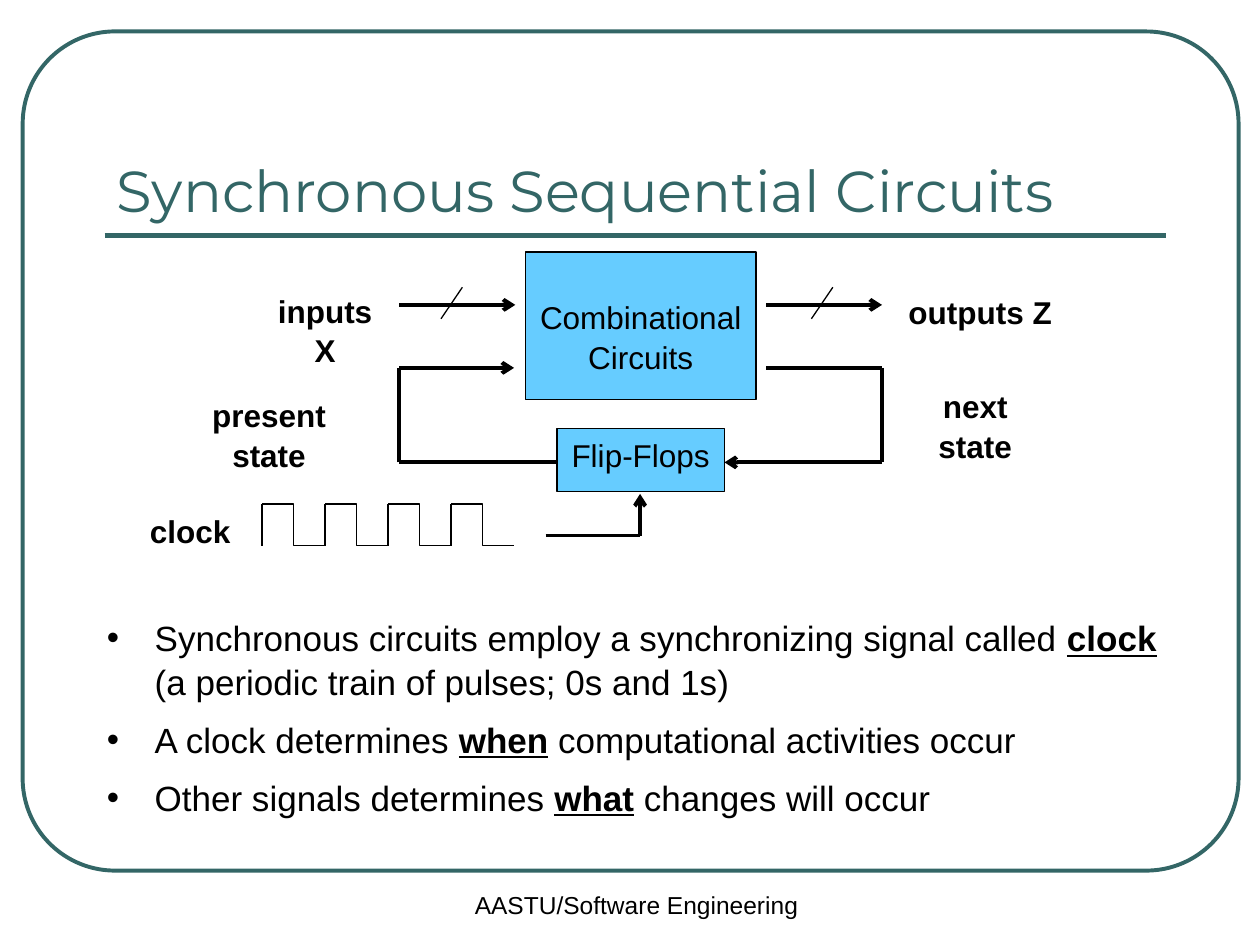
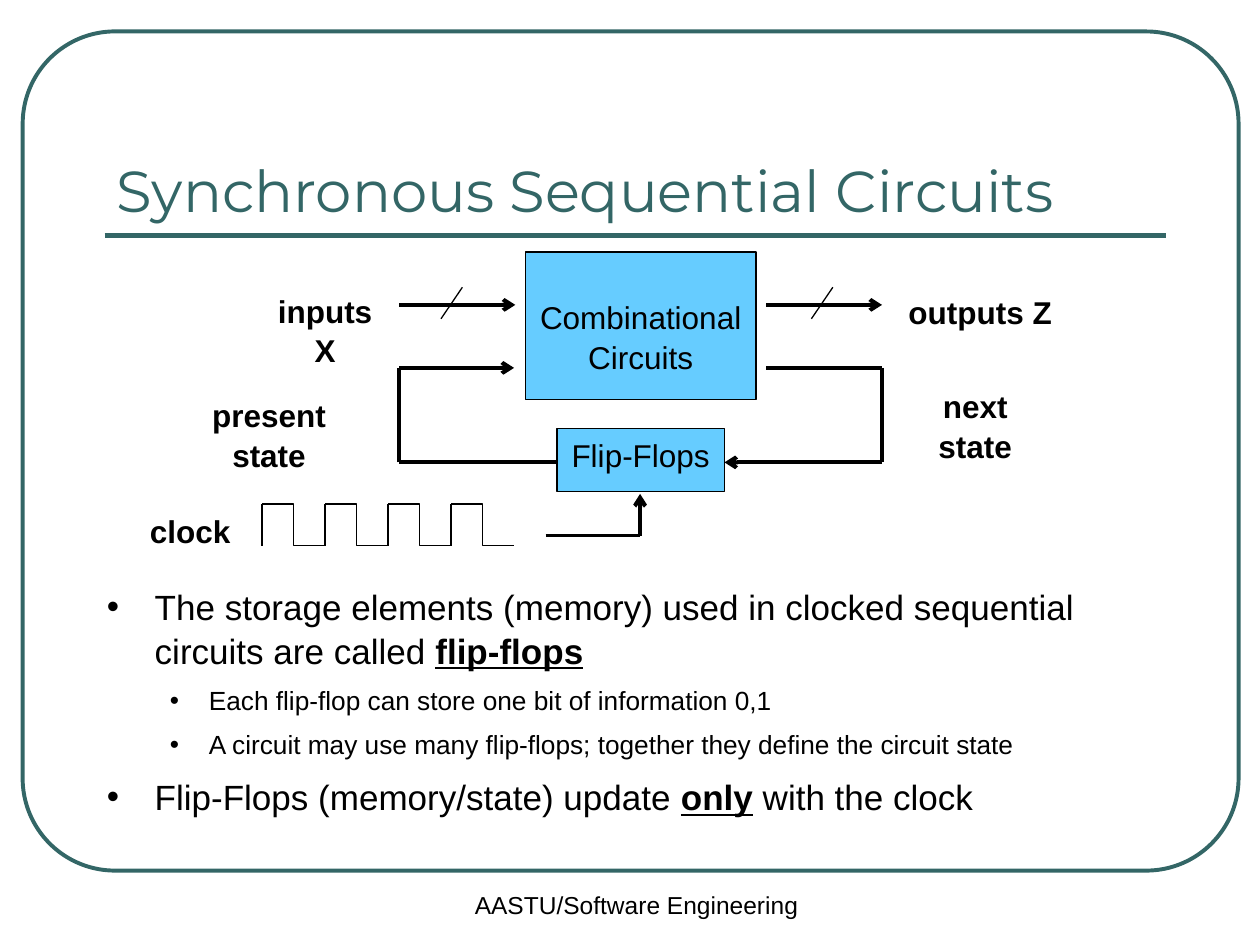
from lxml import etree
from pptx import Presentation
from pptx.dml.color import RGBColor
from pptx.enum.shapes import MSO_CONNECTOR, MSO_SHAPE
from pptx.enum.text import MSO_ANCHOR, PP_ALIGN
from pptx.oxml.ns import qn
from pptx.util import Inches, Pt

STRAIGHT, ELBOW = MSO_CONNECTOR.STRAIGHT, MSO_CONNECTOR.ELBOW
RECT, ROUNDED = MSO_SHAPE.RECTANGLE, MSO_SHAPE.ROUNDED_RECTANGLE
TOP, BOTTOM = MSO_ANCHOR.TOP, MSO_ANCHOR.BOTTOM
LEFT, CENTER = PP_ALIGN.LEFT, PP_ALIGN.CENTER

COLORS = {"accent": "336666", "block": "66CCFF", "ink": "000000"}
BODY_FONT, TITLE_FONT = "Arial", "Montserrat"
LINE_SPACING = 1.05
THIN, THICK = 0.75, 2.25
# Outline levels: size, left margin, hanging indent, space before
LEVELS = [(20, 0.38, 0.38, 7.7), (15, 0.81, 0.31, 6.5)]


def color(name):
    return RGBColor.from_string(COLORS[name])


class Deck:
    """Holds the shared style and the slide being built."""

    def __init__(self):
        self.prs = Presentation()
        self.prs.slide_width, self.prs.slide_height = Inches(10), Inches(7.5)
        self.slide = None

    def new_slide(self, title):
        self.slide = self.prs.slides.add_slide(self.prs.slide_layouts[6])
        frame = self.box(0.18, 0.25, 9.65, 6.66, ROUNDED, None, "accent", THICK)
        frame.adjustments[0] = 0.11
        self.line((0.83, 1.87), (9.25, 1.87), 3, "accent")
        self.text(0.83, 0.58, 8.41, 1.25, title, 33, font=TITLE_FONT,
                  ink="accent", anchor=BOTTOM)
        self.text(3.67, 7, 3.16, 0.5, "AASTU/Software Engineering", 14)

    def box(self, x, y, w, h, kind=RECT, fill="block", outline="ink", width=THIN):
        shape = self.slide.shapes.add_shape(
            kind, Inches(x), Inches(y), Inches(w), Inches(h))
        shape.shadow.inherit = False
        if fill:
            shape.fill.solid()
            shape.fill.fore_color.rgb = color(fill)
        else:
            shape.fill.background()
        shape.line.color.rgb = color(outline)
        shape.line.width = Pt(width)
        return shape

    def block(self, x, y, w, h, lines, inset=0.05):
        frame = self.box(x, y, w, h).text_frame
        frame.word_wrap = True
        frame.vertical_anchor = TOP
        frame.margin_top = Inches(inset)
        for i, line in enumerate(lines):
            paragraph = frame.paragraphs[0] if i == 0 else frame.add_paragraph()
            paragraph.text = line
            self.style(paragraph, 18, align=CENTER)

    def line(self, start, end, width=THICK, ink="ink", arrow=False, kind=STRAIGHT):
        connector = self.slide.shapes.add_connector(
            kind, *(Inches(v) for v in (*start, *end)))
        connector.line.color.rgb = color(ink)
        connector.line.width = Pt(width)
        if arrow:
            etree.SubElement(connector.line._get_or_add_ln(), qn("a:tailEnd"),
                             type="arrow")
        etree.SubElement(connector._element.spPr, qn("a:effectLst"))

    def path_line(self, *points, arrow=False):
        """Straight segments through the points, the last with an optional arrow."""
        for i in range(1, len(points)):
            self.line(points[i - 1], points[i],
                      arrow=arrow and i == len(points) - 1)

    def text_frame(self, x, y, w, h, wrap=True):
        frame = self.slide.shapes.add_textbox(
            Inches(x), Inches(y), Inches(w), Inches(h)).text_frame
        frame.word_wrap = wrap
        return frame

    def text(self, x, y, w, h, words, size, bold=False, align=LEFT,
             font=BODY_FONT, ink="ink", anchor=TOP, wrap=True):
        frame = self.text_frame(x, y, w, h, wrap)
        frame.vertical_anchor = anchor
        paragraph = frame.paragraphs[0]
        paragraph.text = words
        self.style(paragraph, size, align, font, ink)
        paragraph.font.bold = bold

    def label(self, x, y, w, words):
        self.text(x, y, w, 0.4, words, 18, bold=True, align=CENTER, wrap=False)

    def style(self, paragraph, size, align=LEFT, font=BODY_FONT, ink="ink"):
        paragraph.alignment = align
        paragraph.line_spacing = LINE_SPACING
        paragraph.font.size = Pt(size)
        paragraph.font.name = font
        paragraph.font.color.rgb = color(ink)

    def bullets(self, y, h, items):
        """Items are (level, words); words between asterisks are key terms."""
        frame = self.text_frame(0.75, y, 8.66, h)
        for i, (level, words) in enumerate(items):
            size, margin, hanging, before = LEVELS[level]
            paragraph = frame.paragraphs[0] if i == 0 else frame.add_paragraph()
            paragraph.level = level
            props = paragraph._p.get_or_add_pPr()
            props.set("marL", str(Inches(margin)))
            props.set("indent", str(-Inches(hanging)))
            bullet_color = etree.SubElement(props, qn("a:buClr"))
            etree.SubElement(bullet_color, qn("a:srgbClr"), val=COLORS["ink"])
            etree.SubElement(props, qn("a:buFont"), typeface=BODY_FONT)
            etree.SubElement(props, qn("a:buChar"), char="•")
            self.style(paragraph, size)
            if i:
                paragraph.space_before = Pt(before)
            for part, piece in enumerate(words.split("*")):
                if piece:
                    run = paragraph.add_run()
                    run.text = piece
                    if part % 2:
                        run.font.bold = run.font.underline = True

    def circuit(self):
        # Logic blocks
        self.block(4.17, 2, 1.83, 1.17, ["Combinational", "Circuits"], inset=0.35)
        self.block(4.42, 3.4, 1.33, 0.5, ["Flip-Flops"])

        # Input and output buses, each with a slash
        for bus_x, slash_x in ((3.17, 3.5), (6.08, 6.44)):
            self.line((bus_x, 2.42), (bus_x + 0.92, 2.42), arrow=True)
            self.line((slash_x + 0.17, 2.28), (slash_x, 2.53), THIN)

        # Feedback loop and clock feed
        self.path_line((6.08, 2.92), (7, 2.92), (7, 3.67), (5.75, 3.67), arrow=True)
        self.path_line((4.42, 3.67), (3.17, 3.67), (3.17, 2.92), (4.08, 2.92),
                       arrow=True)
        self.path_line((4.33, 4.25), (5.08, 4.25), (5.08, 3.92), arrow=True)

        # Clock pulses
        high, low, period = 4, 4.33, 0.5
        for pulse in range(4):
            x = 2.08 + pulse * period
            self.line((x, high), (x, low), THIN)
            self.line((x, high), (x + period, low), THIN, kind=ELBOW)

        # Signal names
        for x, y, w, words in ((1.99, 2.25, 1.18, "inputs X"),
                               (7.11, 2.26, 1.34, "outputs Z"),
                               (7.06, 3.01, 1.36, "next state"),
                               (1.26, 3.08, 1.75, "present state"),
                               (1.09, 4, 0.84, "clock")):
            self.label(x, y, w, words)


def main():
    deck = Deck()
    title = "Synchronous Sequential Circuits"

    # Slide 1: the clock
    deck.new_slide(title)
    deck.bullets(4.83, 2.08, [
        (0, "Synchronous circuits employ a synchronizing signal called *clock*"
            " (a periodic train of pulses; 0s and 1s)"),
        (0, "A clock determines *when* computational activities occur"),
        (0, "Other signals determines *what* changes will occur"),
    ])
    deck.circuit()

    # Slide 2: the flip-flops
    deck.new_slide(title)
    deck.bullets(4.58, 2.33, [
        (0, "The storage elements (memory) used in clocked sequential circuits"
            " are called *flip-flops*"),
        (1, "Each flip-flop can store one bit of information 0,1"),
        (1, "A circuit may use many flip-flops; together they define the circuit state"),
        (0, "Flip-Flops (memory/state) update *only* with the clock"),
    ])
    deck.circuit()

    deck.prs.save("out.pptx")


if __name__ == "__main__":
    main()
